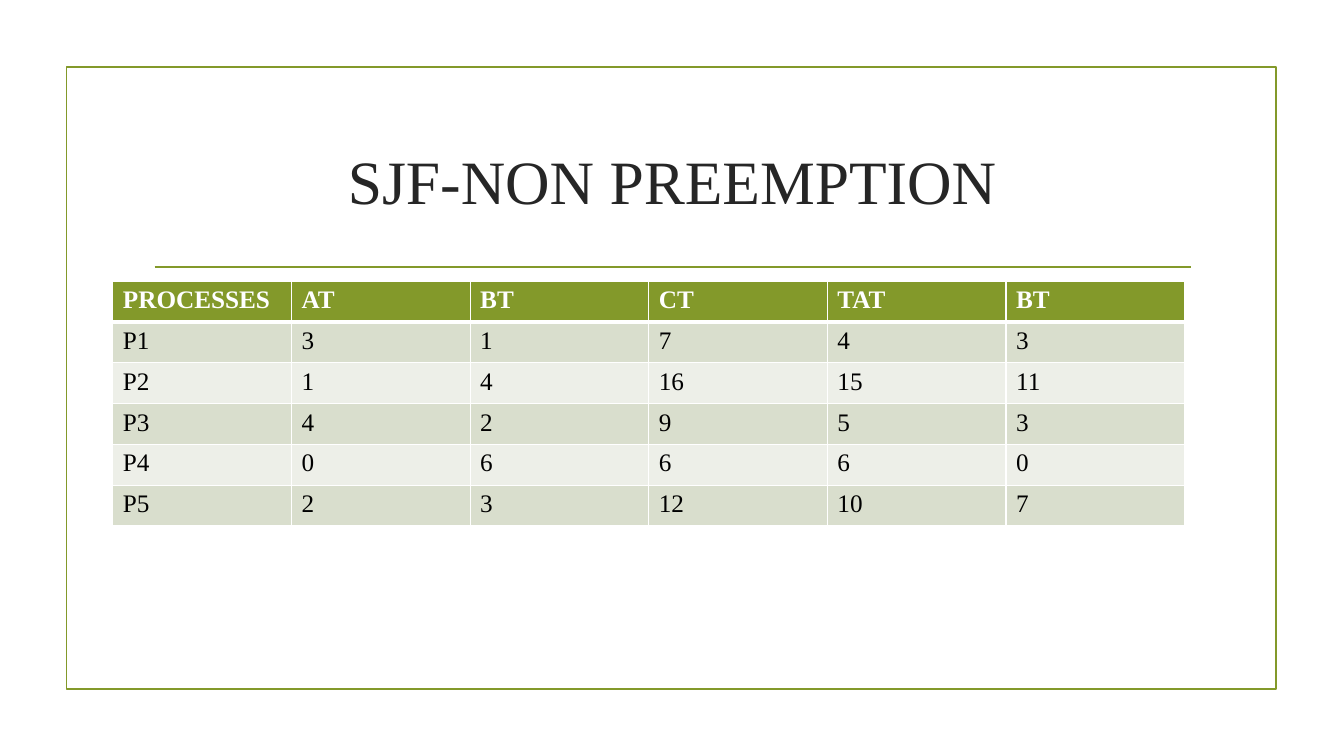
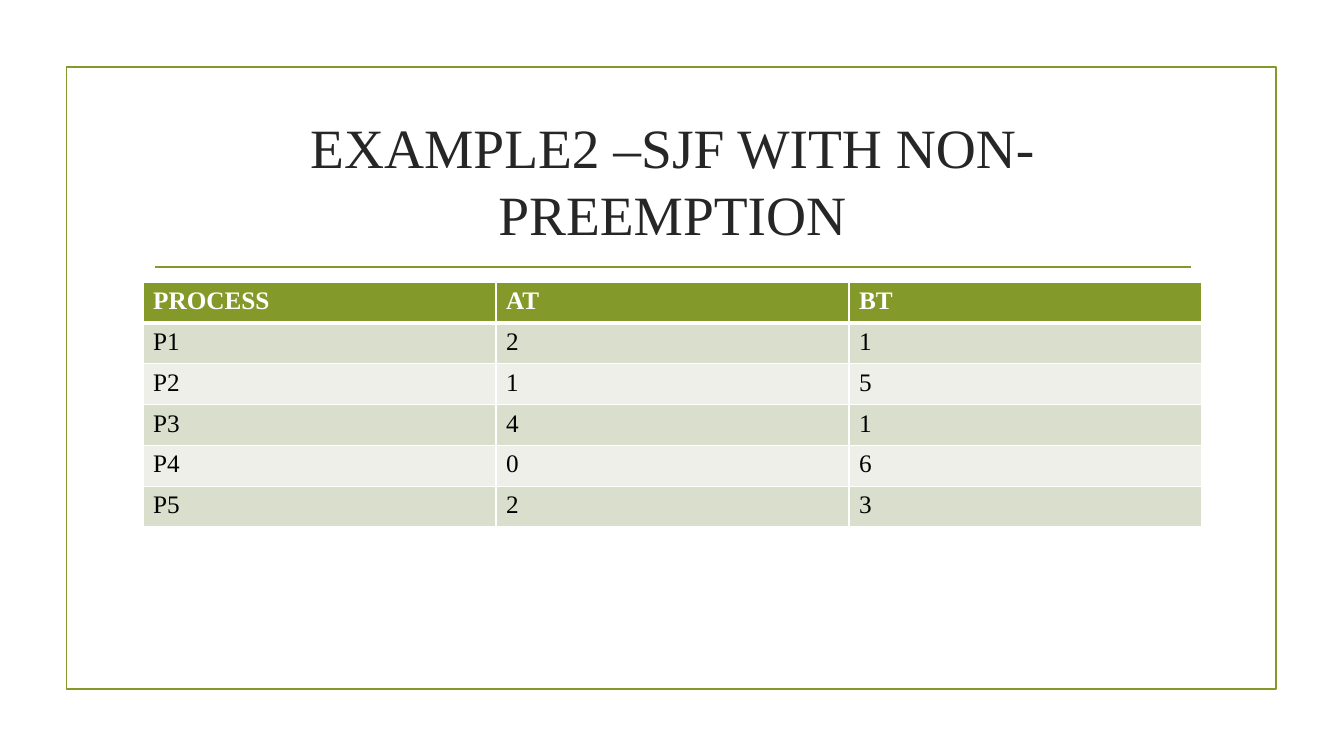
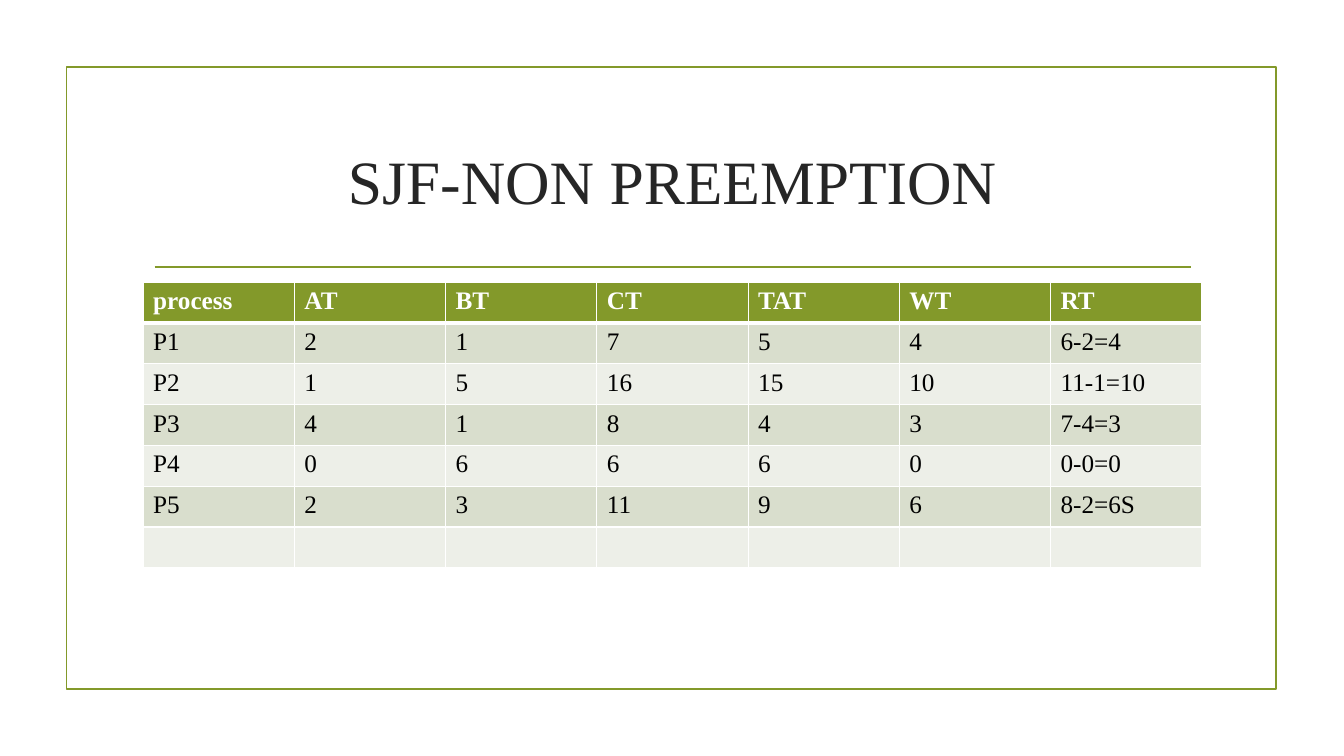
from dataclasses import dataclass

from lxml import etree
from pptx import Presentation
from pptx import util as u
from pptx.dml.color import RGBColor
from pptx.enum import shapes, text
from pptx.oxml import ns

WIDTH, HEIGHT = u.Inches(13.33), u.Inches(7.5)
FONT = "Times New Roman"
GREEN, WHITE, BLACK, TITLE_GREY = "83992A", "FFFFFF", "000000", "262626"
BANDS = ("D9DECD", "EDEFE8")
ROW_SHARE = 5.4
THIN, THICK = 1, 3


@dataclass(frozen=True)
class Area:
    """Place on the slide, in percent of its width and height."""
    left: float
    top: float
    width: float
    height: float = 0

    def box(self) -> tuple[int, int, int, int]:
        return (across(self.left), down(self.top),
                across(self.width), down(self.height))


@dataclass(frozen=True)
class Schedule:
    title: str
    rows: tuple[tuple[str, ...], ...]
    area: Area = Area(10.65, 37.33, 78.77)
    title_size: float = 44


FRAME = Area(4.95, 8.9, 90, 82.3)
TITLE = Area(10.65, 14.27, 78.77, 19.07)
RULE = Area(11.5, 35.33, 77.1)

SCHEDULES = (
    Schedule("SJF-NON PREEMPTION", (
        ("PROCESSES", "AT", "BT", "CT", "TAT", "BT"),
        ("P1", "3", "1", "7", "4", "3"),
        ("P2", "1", "4", "16", "15", "11"),
        ("P3", "4", "2", "9", "5", "3"),
        ("P4", "0", "6", "6", "6", "0"),
        ("P5", "2", "3", "12", "10", "7"),
    ), area=Area(8.4, 37.2, 79.75)),
    Schedule("EXAMPLE2 –SJF WITH NON-PREEMPTION", (
        ("PROCESS", "AT", "BT"),
        ("P1", "2", "1"),
        ("P2", "1", "5"),
        ("P3", "4", "1"),
        ("P4", "0", "6"),
        ("P5", "2", "3"),
    ), title_size=39.6),
    Schedule("SJF-NON PREEMPTION", (
        ("process", "AT", "BT", "CT", "TAT", "WT", "RT"),
        ("P1", "2", "1", "7", "5", "4", "6-2=4"),
        ("P2", "1", "5", "16", "15", "10", "11-1=10"),
        ("P3", "4", "1", "8", "4", "3", "7-4=3"),
        ("P4", "0", "6", "6", "6", "0", "0-0=0"),
        ("P5", "2", "3", "11", "9", "6", "8-2=6S"),
        ("",) * 7,
    )),
)


def across(percent: float) -> int:
    return round(WIDTH * percent / 100)


def down(percent: float) -> int:
    return round(HEIGHT * percent / 100)


def paint(color_format, hex_color: str) -> None:
    color_format.rgb = RGBColor.from_string(hex_color)


def write(frame, words: str, *, size: float, color: str, bold: bool = False,
          align=text.PP_ALIGN.LEFT) -> None:
    paragraph = frame.paragraphs[0]
    paragraph.alignment = align
    run = paragraph.add_run()
    run.text = words
    run.font.name, run.font.size, run.font.bold = FONT, u.Pt(size), bold
    paint(run.font.color, color)


def stroke(line) -> None:
    paint(line.color, GREEN)
    line.width = u.Pt(1.25)


def add_backdrop(slide) -> None:
    """Draw the frame and the rule under the title."""
    frame = slide.shapes.add_shape(shapes.MSO_SHAPE.RECTANGLE, *FRAME.box())
    frame.shadow.inherit = False
    frame.fill.background()
    stroke(frame.line)

    left, top, width, _ = RULE.box()
    rule = slide.shapes.add_connector(
        shapes.MSO_CONNECTOR.STRAIGHT, left, top, left + width, top)
    stroke(rule.line)
    etree.SubElement(rule._element.spPr, ns.qn("a:effectLst"))


def add_title(slide, words: str, size: float) -> None:
    frame = slide.shapes.add_textbox(*TITLE.box()).text_frame
    frame.word_wrap = True
    frame.vertical_anchor = text.MSO_ANCHOR.MIDDLE
    write(frame, words, size=size, color=TITLE_GREY,
          align=text.PP_ALIGN.CENTER)


def add_borders(cell, *, top: int, bottom: int) -> None:
    """Add white borders; call before the fill, which must follow them."""
    properties = cell._tc.get_or_add_tcPr()
    for side, points in (("L", THIN), ("R", THIN), ("T", top), ("B", bottom)):
        line = etree.SubElement(properties, ns.qn(f"a:ln{side}"),
                                w=str(u.Pt(points)))
        fill = etree.SubElement(line, ns.qn("a:solidFill"))
        etree.SubElement(fill, ns.qn("a:srgbClr"), val=WHITE)


def add_schedule(slide, rows: tuple[tuple[str, ...], ...], area: Area) -> None:
    left, top, width, _ = area.box()
    table = slide.shapes.add_table(
        len(rows), len(rows[0]), left, top, width,
        down(ROW_SHARE * len(rows))).table
    table.first_row = table.horz_banding = False
    for row_number, row in enumerate(rows):
        header = row_number == 0
        for column_number, words in enumerate(row):
            cell = table.cell(row_number, column_number)
            add_borders(cell, top=THICK if row_number == 1 else THIN,
                        bottom=THICK if header else THIN)
            cell.fill.solid()
            paint(cell.fill.fore_color,
                  GREEN if header else BANDS[(row_number - 1) % 2])
            if words:
                write(cell.text_frame, words, size=18, bold=header,
                      color=WHITE if header else BLACK)


def main() -> None:
    deck = Presentation()
    deck.slide_width, deck.slide_height = WIDTH, HEIGHT
    blank = deck.slide_layouts[6]
    for schedule in SCHEDULES:
        slide = deck.slides.add_slide(blank)
        add_backdrop(slide)
        add_title(slide, schedule.title, schedule.title_size)
        add_schedule(slide, schedule.rows, schedule.area)
    deck.save("out.pptx")


if __name__ == "__main__":
    main()
